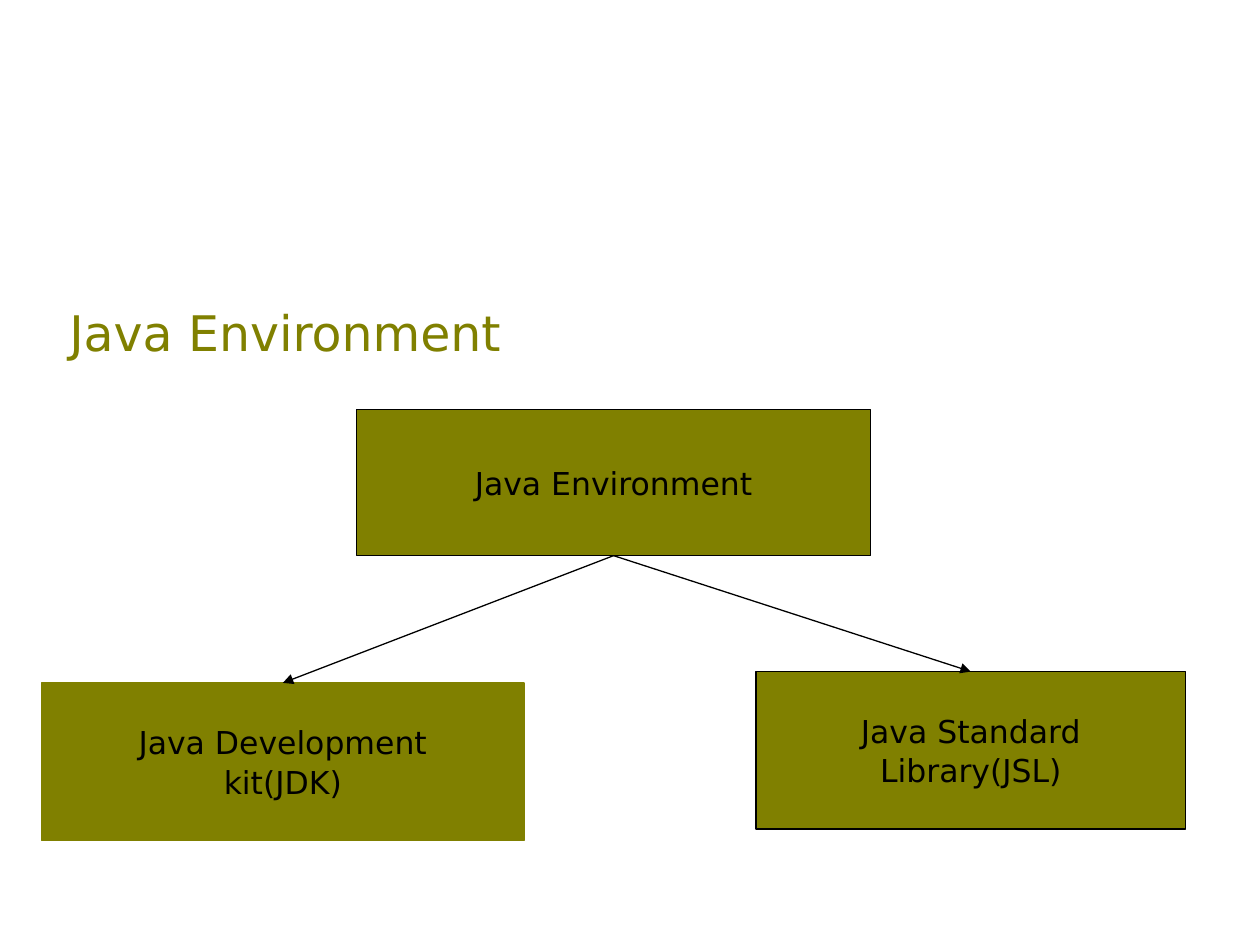
from lxml.etree import SubElement
from pptx import Presentation
from pptx.dml.color import RGBColor
from pptx.enum.shapes import MSO_CONNECTOR as Connector, MSO_SHAPE as Shape
from pptx.enum.text import MSO_ANCHOR as Anchor, PP_ALIGN as Align
from pptx.oxml.ns import qn
from pptx.util import Inches, Pt

OLIVE, BLACK = "808000", "000000"
BOTTOM, TOP = 2, 0


def color(value):
    return RGBColor.from_string(value)


def write(shape, text, size=18, ink=BLACK, align=Align.CENTER, anchor=Anchor.MIDDLE, left=0.1):
    frame = shape.text_frame
    frame.word_wrap = True
    frame.vertical_anchor = anchor
    frame.margin_left = Inches(left)
    frame.text = text
    for index, paragraph in enumerate(frame.paragraphs):
        paragraph.alignment = align
        paragraph.space_before = Pt(1 if index else 0)
        paragraph.font.name = "DejaVu Sans"
        paragraph.font.size = Pt(size)
        paragraph.font.color.rgb = color(ink)


presentation = Presentation()
presentation.slide_width, presentation.slide_height = Inches(10), Inches(7.5)
slide = presentation.slides.add_slide(presentation.slide_layouts[6])

title = slide.shapes.add_textbox(Inches(0.33), Inches(2.35), Inches(6.75), Inches(0.57))
write(title, "Java Environment", size=28, ink=OLIVE, align=Align.LEFT, anchor=Anchor.TOP, left=0.22)

boxes = []
for text, left, top, width, height, outline in [
    ("Java Environment", 2.83, 3.25, 4.08, 1.16, BLACK),
    ("Java Development\nkit(JDK)", 0.33, 5.42, 3.83, 1.25, OLIVE),
    ("Java Standard\nLibrary(JSL)", 6, 5.33, 3.41, 1.25, BLACK),
]:
    box = slide.shapes.add_shape(
        Shape.RECTANGLE, Inches(left), Inches(top), Inches(width), Inches(height)
    )
    box.shadow.inherit = False
    box.fill.solid()
    box.fill.fore_color.rgb = color(OLIVE)
    box.line.color.rgb = color(outline)
    box.line.width = Pt(0.75)
    write(box, text)
    boxes.append(box)

environment, *components = boxes
for component in components:
    arrow = slide.shapes.add_connector(Connector.STRAIGHT, 0, 0, 0, 0)
    arrow.begin_connect(environment, BOTTOM)
    arrow.end_connect(component, TOP)
    arrow.line.color.rgb = color(BLACK)
    arrow.line.width = Pt(0.75)
    SubElement(arrow.line._get_or_add_ln(), qn("a:tailEnd"), type="triangle")
    SubElement(arrow._element.spPr, qn("a:effectLst"))

presentation.save("out.pptx")
